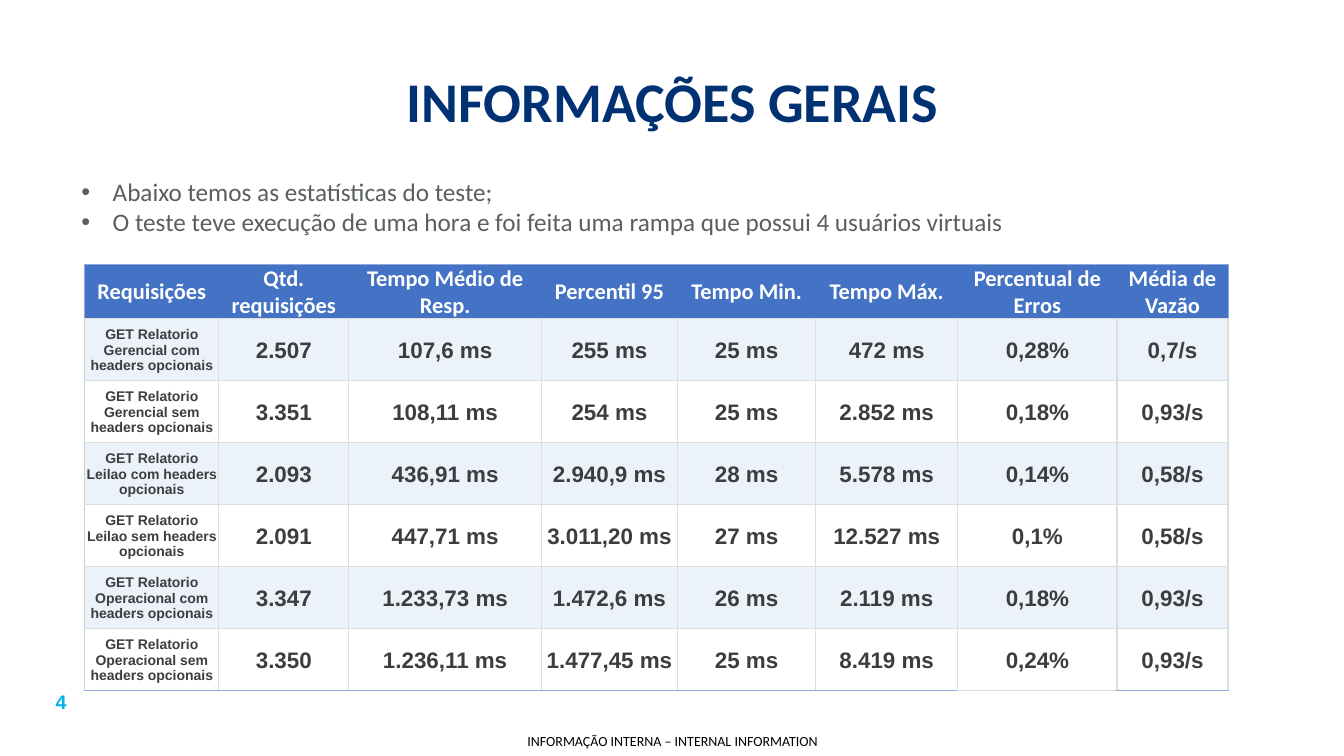
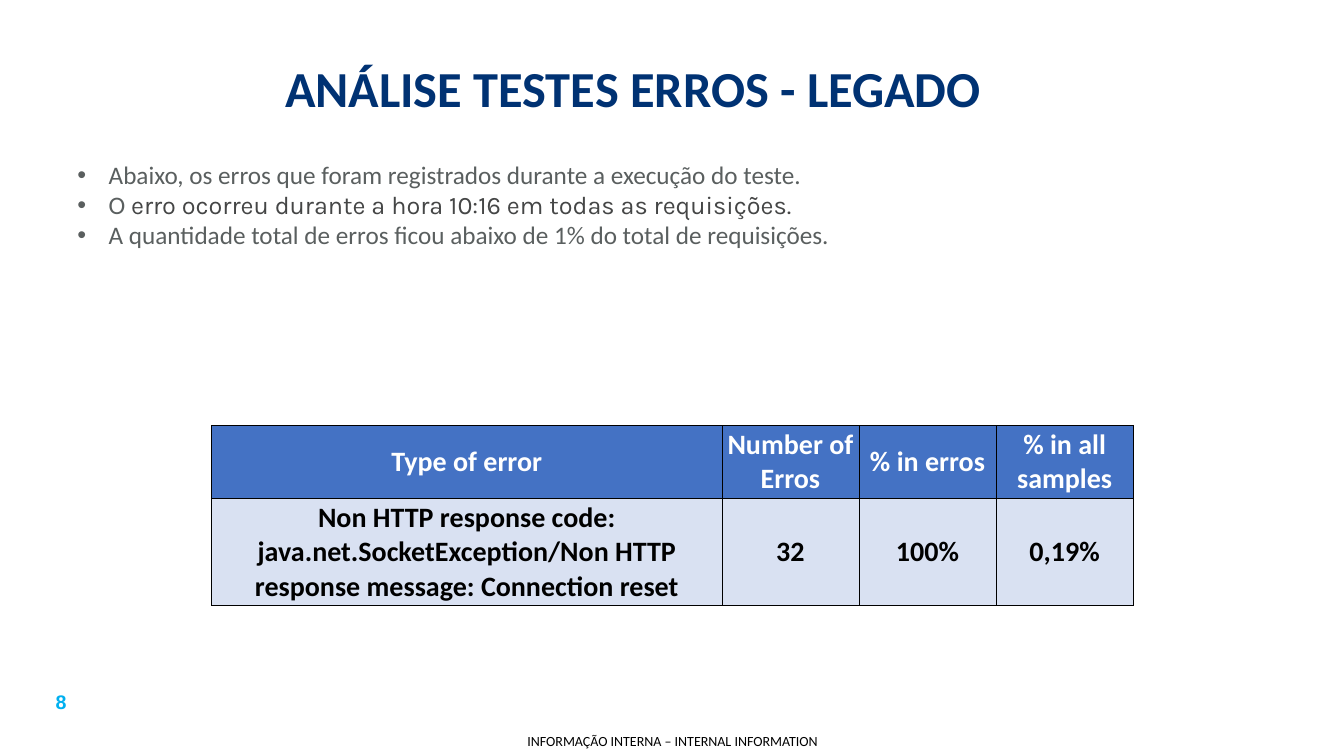
from dataclasses import dataclass
from typing import Optional

import lxml.etree
import pptx
import pptx.dml.color
import pptx.enum.text
import pptx.oxml.ns
import pptx.slide
import pptx.table
import pptx.text.text
import pptx.util

Inches = pptx.util.Inches
Anchor = pptx.enum.text.MSO_ANCHOR
Align = pptx.enum.text.PP_ALIGN
AutoSize = pptx.enum.text.MSO_AUTO_SIZE
qn = pptx.oxml.ns.qn


@dataclass(frozen=True)
class Theme:
    background: str = "FFFFFF"
    title: str = "003273"
    bullet: str = "5A5F5F"
    emphasis: str = "454646"
    page_number: str = "00B0F0"
    black: str = "000000"
    white: str = "FFFFFF"
    header_fill: str = "4472C4"
    stats_text: str = "3D3D3D"
    stats_band: str = "EBF2FA"
    errors_fill: str = "D9E1F2"
    grid: str = "DDDDDD"
    grid_left: str = "CDCDCD"
    frame: str = "8EA9DB"
    main_font: str = "Calibri"
    data_font: str = "Arial"
    emphasis_font: str = "Karla"
    bullet_size: float = 18
    page_number_size: float = 14
    footer_size: float = 10
    request_size: float = 10
    stats_size: float = 16
    errors_size: float = 20


THEME = Theme()


@dataclass(frozen=True)
class Box:
    left: float
    top: float
    width: float
    height: float

    def lengths(self) -> tuple[int, ...]:
        return tuple(Inches(n) for n in (self.left, self.top, self.width, self.height))


@dataclass(frozen=True)
class Phrase:
    text: str
    font: str = THEME.main_font
    color: str = THEME.bullet


@dataclass(frozen=True)
class Border:
    color: str
    points: float


@dataclass(frozen=True)
class CellStyle:
    fill: str
    color: str
    size: float
    font: str = THEME.main_font
    left: Optional[Border] = None
    right: Optional[Border] = None
    top: Optional[Border] = None
    bottom: Optional[Border] = None


@dataclass(frozen=True)
class Page:
    number: str
    title: str
    title_box: Box
    title_size: float
    bullets_box: Box
    bullets: tuple[tuple[Phrase, ...], ...]


GRID = Border(THEME.grid, 1)
GRID_LEFT = Border(THEME.grid_left, 1)
FRAME = Border(THEME.frame, 0.5)
OUTLINE = Border(THEME.black, 0.5)

PAGE_NUMBER_BOX = Box(0.21, 6.8, 0.79, 0.34)
FOOTER_BOX = Box(5.03, 7.21, 3.28, 0.29)
FOOTER = "INFORMAÇÃO INTERNA – INTERNAL INFORMATION"

GENERAL = Page(
    "4", "INFORMAÇÕES GERAIS", Box(3.69, 0.49, 5.96, 1.01), 40,
    Box(0.71, 1.7, 12, 0.71),
    (
        (Phrase("Abaixo temos as estatísticas do teste;"),),
        (Phrase("O teste teve execução de uma hora e foi feita uma rampa "
                "que possui 4 usuários virtuais"),),
    ),
)
ERRORS = Page(
    "8", "ANÁLISE TESTES ERROS - LEGADO", Box(2.5, 0.36, 7.56, 1.01), 36,
    Box(0.67, 1.53, 12, 1.31),
    (
        (Phrase("Abaixo, os erros que foram registrados durante a execução do teste."),),
        (Phrase("O "),
         Phrase("erro ocorreu durante a hora 10:16 em todas as requisições.",
                THEME.emphasis_font, THEME.emphasis)),
        (Phrase("A quantidade total de erros ficou abaixo de 1% do total de requisições."),),
    ),
)

STATS_BOX = Box(0.84, 2.62, 11.34, 4.22)
STATS_COLUMNS = [1.33, 1.29, 1.91, 1.35, 1.37, 1.41, 1.58, 1.1]
STATS_HEADER_HEIGHT = 0.53
STATS = [
    ("Requisições", "Qtd. requisições", "Tempo Médio de Resp.", "Percentil 95",
     "Tempo Min.", "Tempo Máx.", "Percentual de Erros", "Média de Vazão"),
    ("GET Relatorio Gerencial com headers opcionais",
     "2.507", "107,6 ms", "255 ms", "25 ms", "472 ms", "0,28%", "0,7/s"),
    ("GET Relatorio Gerencial sem headers opcionais",
     "3.351", "108,11 ms", "254 ms", "25 ms", "2.852 ms", "0,18%", "0,93/s"),
    ("GET Relatorio Leilao com headers opcionais",
     "2.093", "436,91 ms", "2.940,9 ms", "28 ms", "5.578 ms", "0,14%", "0,58/s"),
    ("GET Relatorio Leilao sem headers opcionais",
     "2.091", "447,71 ms", "3.011,20 ms", "27 ms", "12.527 ms", "0,1%", "0,58/s"),
    ("GET Relatorio Operacional com headers opcionais",
     "3.347", "1.233,73 ms", "1.472,6 ms", "26 ms", "2.119 ms", "0,18%", "0,93/s"),
    ("GET Relatorio Operacional sem headers opcionais",
     "3.350", "1.236,11 ms", "1.477,45 ms", "25 ms", "8.419 ms", "0,24%", "0,93/s"),
]
ERROR_RATE_COLUMN = 6

ERROR_TYPES_BOX = Box(2.1, 4.22, 9.14, 1.79)
ERROR_TYPES_COLUMNS = [5.06, 1.36, 1.36, 1.36]
ERROR_TYPES_ROWS = [0.72, 1.07]
ERROR_TYPES = [
    ("Type of error", "Number of Erros", "% in erros", "% in all samples"),
    ("Non HTTP response code: java.net.SocketException/Non HTTP response message: "
     "Connection reset", "32", "100%", "0,19%"),
]


def rgb(color: str) -> pptx.dml.color.RGBColor:
    return pptx.dml.color.RGBColor.from_string(color)


def write(paragraph: pptx.text.text._Paragraph, text: str, *, size: float, color: str,
          font: str = THEME.main_font, bold: bool = False,
          align: Align = Align.CENTER) -> None:
    paragraph.alignment = align
    run = paragraph.add_run()
    run.text = text
    run.font.size = pptx.util.Pt(size)
    run.font.name = font
    run.font.bold = bold
    run.font.color.rgb = rgb(color)


def add_text_frame(slide: pptx.slide.Slide, box: Box) -> pptx.text.text.TextFrame:
    frame = slide.shapes.add_textbox(*box.lengths()).text_frame
    frame.word_wrap = True
    frame.auto_size = AutoSize.SHAPE_TO_FIT_TEXT
    return frame


def add_bullets(slide: pptx.slide.Slide, page: Page) -> None:
    frame = add_text_frame(slide, page.bullets_box)
    for index, phrases in enumerate(page.bullets):
        paragraph = frame.add_paragraph() if index else frame.paragraphs[0]
        for phrase in phrases:
            write(paragraph, phrase.text, size=THEME.bullet_size, font=phrase.font,
                  color=phrase.color, align=Align.LEFT)
        properties = paragraph._p.get_or_add_pPr()
        properties.set("marL", str(Inches(0.31)))
        properties.set("indent", str(-Inches(0.31)))
        lxml.etree.SubElement(properties, qn("a:buFont"), typeface=THEME.data_font)
        lxml.etree.SubElement(properties, qn("a:buChar"), char="•")


def add_page(deck: pptx.presentation.Presentation, page: Page) -> pptx.slide.Slide:
    slide = deck.slides.add_slide(deck.slide_layouts.get_by_name("Title Only"))
    slide.background.fill.solid()
    slide.background.fill.fore_color.rgb = rgb(THEME.background)

    title = slide.shapes.title
    title.left, title.top, title.width, title.height = page.title_box.lengths()
    title.text_frame.auto_size = AutoSize.NONE
    title.text_frame.vertical_anchor = Anchor.MIDDLE
    write(title.text_frame.paragraphs[0], page.title, size=page.title_size,
          color=THEME.title, bold=True)

    number = add_text_frame(slide, PAGE_NUMBER_BOX)
    write(number.paragraphs[0], page.number, size=THEME.page_number_size,
          font=THEME.data_font, color=THEME.page_number, bold=True)

    footer = add_text_frame(slide, FOOTER_BOX)
    footer.margin_left = footer.margin_right = footer.margin_top = footer.margin_bottom = 0
    footer.vertical_anchor = Anchor.MIDDLE
    write(footer.paragraphs[0], FOOTER, size=THEME.footer_size, color=THEME.black)

    add_bullets(slide, page)
    return slide


def format_cell(cell: pptx.table._Cell, text: str, style: CellStyle) -> None:
    cell.margin_left = cell.margin_right = cell.margin_top = Inches(0.01)
    cell.margin_bottom = 0
    cell.vertical_anchor = Anchor.MIDDLE
    properties = cell._tc.get_or_add_tcPr()
    borders = {"a:lnL": style.left, "a:lnR": style.right,
               "a:lnT": style.top, "a:lnB": style.bottom}
    for tag, border in borders.items():
        line = lxml.etree.SubElement(properties, qn(tag))
        if border is None:
            lxml.etree.SubElement(line, qn("a:noFill"))
            continue
        line.set("w", str(pptx.util.Pt(border.points)))
        paint = lxml.etree.SubElement(line, qn("a:solidFill"))
        lxml.etree.SubElement(paint, qn("a:srgbClr"), val=border.color)
    cell.fill.solid()
    cell.fill.fore_color.rgb = rgb(style.fill)
    write(cell.text_frame.paragraphs[0], text, size=style.size, font=style.font,
          color=style.color, bold=True)


def add_grid(slide: pptx.slide.Slide, box: Box, widths: list[float], heights: list[float],
             rows: list[tuple[str, ...]], style_of) -> None:
    table = slide.shapes.add_table(len(rows), len(widths), *box.lengths()).table
    table.horz_banding = False
    for column, width in zip(table.columns, widths):
        column.width = Inches(width)
    for row, height in zip(table.rows, heights):
        row.height = Inches(height)
    for r, texts in enumerate(rows):
        for c, text in enumerate(texts):
            format_cell(table.cell(r, c), text, style_of(r, c))


def stats_style(row: int, column: int) -> CellStyle:
    if row == 0:
        return CellStyle(
            THEME.header_fill, THEME.white, THEME.stats_size,
            left=FRAME if column == 0 else None,
            right=FRAME if column == len(STATS_COLUMNS) - 1 else None,
            top=FRAME, bottom=GRID)
    framed = row == len(STATS) - 1 and column != ERROR_RATE_COLUMN
    return CellStyle(
        THEME.stats_band if row % 2 else THEME.white, THEME.stats_text,
        THEME.stats_size if column else THEME.request_size, THEME.data_font,
        left=GRID if column else GRID_LEFT, right=GRID, top=GRID,
        bottom=FRAME if framed else GRID)


def error_types_style(row: int, column: int) -> CellStyle:
    return CellStyle(
        THEME.errors_fill if row else THEME.header_fill,
        THEME.black if row else THEME.white, THEME.errors_size,
        left=OUTLINE, right=OUTLINE, top=OUTLINE, bottom=OUTLINE)


def main() -> None:
    deck = pptx.Presentation()
    deck.slide_width, deck.slide_height = Inches(13.33), Inches(7.5)

    requests = len(STATS) - 1
    request_height = (STATS_BOX.height - STATS_HEADER_HEIGHT) / requests
    add_grid(add_page(deck, GENERAL), STATS_BOX, STATS_COLUMNS,
             [STATS_HEADER_HEIGHT] + [request_height] * requests, STATS, stats_style)
    add_grid(add_page(deck, ERRORS), ERROR_TYPES_BOX, ERROR_TYPES_COLUMNS,
             ERROR_TYPES_ROWS, ERROR_TYPES, error_types_style)
    deck.save("out.pptx")


main()
